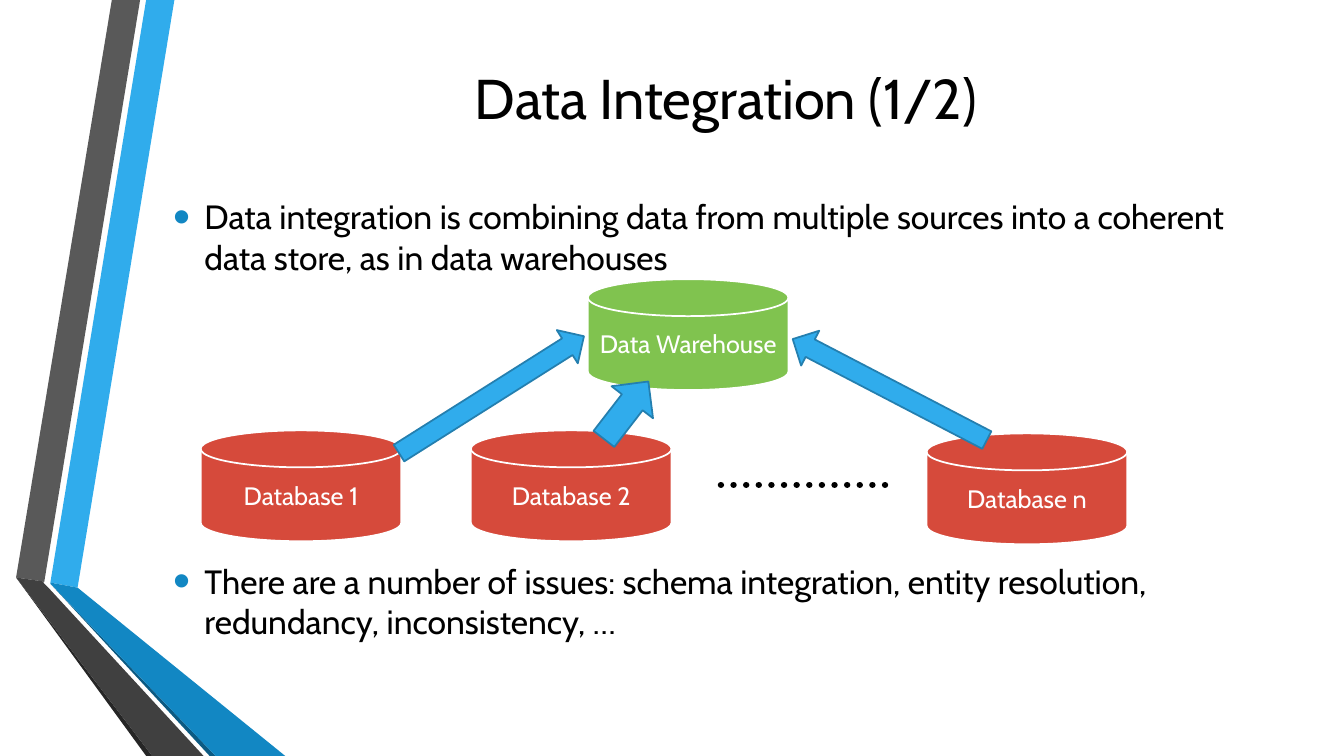
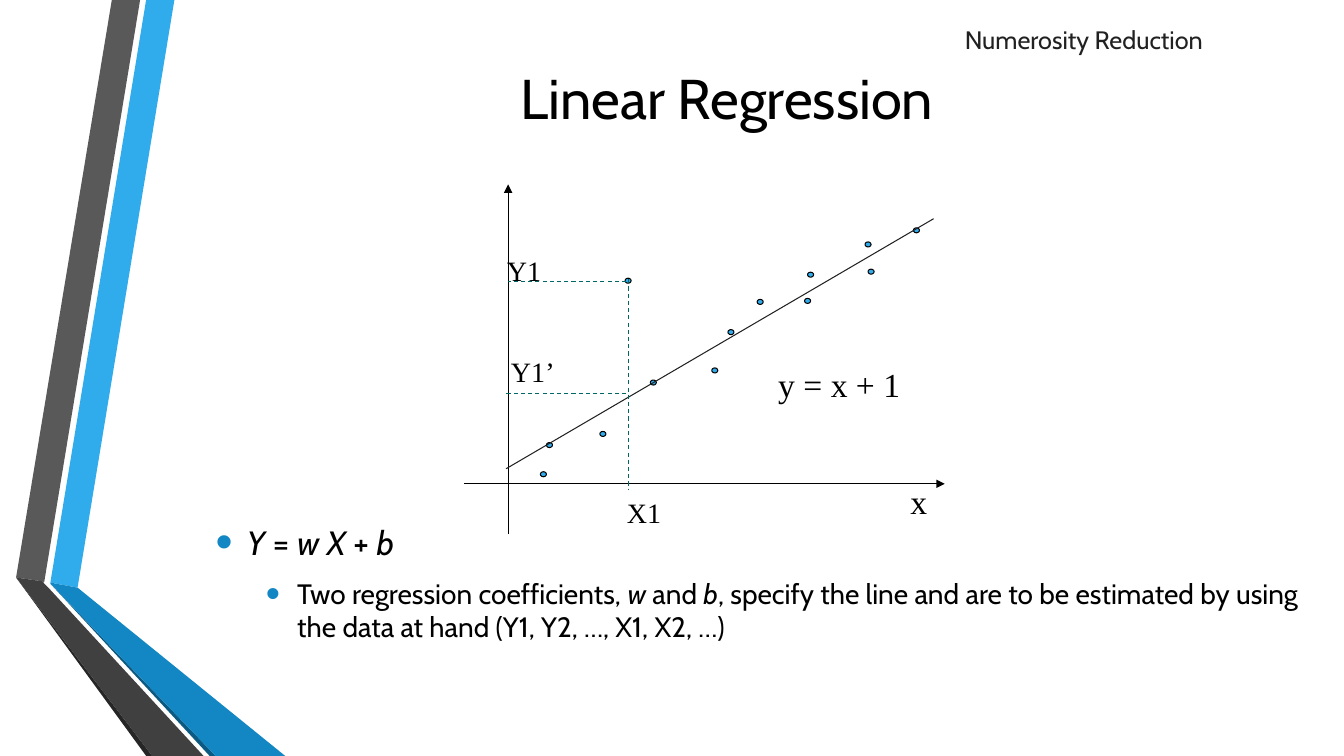
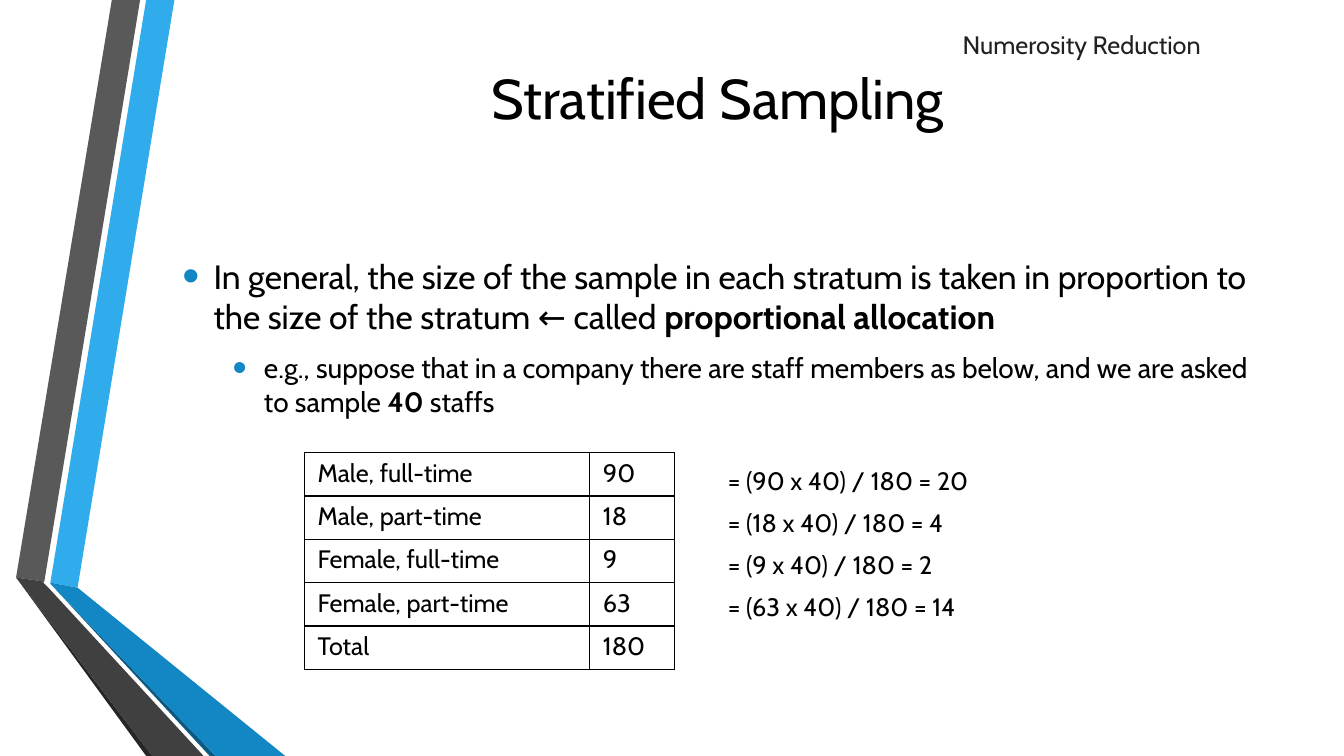
from dataclasses import dataclass

from pptx import Presentation
from pptx.dml.color import RGBColor
from pptx.enum.dml import MSO_LINE
from pptx.enum.shapes import MSO_CONNECTOR, MSO_SHAPE
from pptx.enum.text import MSO_ANCHOR, PP_ALIGN
from pptx.oxml.ns import qn
from pptx.util import Pt
from lxml.etree import SubElement

PX = 9144


@dataclass(frozen=True)
class Theme:
    """Colours, fonts and type sizes of the deck."""
    black: str = "000000"
    white: str = "FFFFFF"
    ink: str = "212121"
    sky: str = "30ACEC"
    sky_edge: str = "247FAF"
    blue: str = "1287C3"
    navy: str = "0C5A82"
    grey: str = "595959"
    charcoal: str = "404040"
    coal: str = "262626"
    red: str = "D64A3B"
    green: str = "80C34F"
    teal: str = "006666"
    font: str = "Cabin"
    serif: str = "Times New Roman"
    title: int = 40
    body: int = 24
    sub: int = 20
    label: int = 18


T = Theme()

RIBBONS = [
    (T.sky, [(50, 578), (77, 583), (173, 0), (145, 0)]),
    (T.grey, [(139, 0), (111, 0), (16, 573), (44, 577)]),
    (T.coal, [(16, 573), (145, 750), (151, 750)]),
    (T.navy, [(50, 579), (208, 750), (214, 750)]),
    (T.blue, [(50, 579), (214, 750), (283, 750), (77, 583), (50, 578)]),
    (T.charcoal, [(202, 750), (48, 583), (43, 578), (44, 577), (16, 573), (151, 750)]),
]

ITALIC = {"italic": True}
BOLD = {"bold": True}


def emu(*lengths):
    """Turn px lengths into EMU."""
    return [n * PX for n in lengths]


def rgb(color):
    """Turn a hex string into a colour."""
    return RGBColor.from_string(color)


def write(p, text, size=T.label, color=T.black, font=T.font, bold=False, italic=False):
    """Add one formatted run to a paragraph."""
    r = p.add_run()
    r.text = text
    f = r.font
    f.name, f.size, f.bold, f.italic = font, Pt(size), bold, italic
    f.color.rgb = rgb(color)


def paint(sp, fill, line=None, width=1.25):
    """Give a shape its fill and outline, without shadow."""
    sp.shadow.inherit = False
    sp.fill.solid()
    sp.fill.fore_color.rgb = rgb(fill)
    if line:
        sp.line.color.rgb = rgb(line)
        sp.line.width = Pt(width)
    else:
        sp.line.fill.background()


def add_text(s, box, lines, wrap=True, align=PP_ALIGN.LEFT, anchor=MSO_ANCHOR.TOP,
             leading=None, **fmt):
    """Add a text box with one paragraph per line."""
    tf = s.shapes.add_textbox(*emu(*box)).text_frame
    tf.word_wrap, tf.vertical_anchor = wrap, anchor
    for i, line in enumerate(lines):
        p = tf.paragraphs[0] if i == 0 else tf.add_paragraph()
        p.alignment = align
        if leading:
            p.line_spacing = Pt(leading)
        write(p, line, **fmt)


def add_bullets(s, box, items):
    """Add bulleted paragraphs given as a level and its styled runs."""
    tf = s.shapes.add_textbox(*emu(*box)).text_frame
    tf.word_wrap, tf.vertical_anchor = True, MSO_ANCHOR.MIDDLE
    for i, (level, runs) in enumerate(items):
        p = tf.paragraphs[0] if i == 0 else tf.add_paragraph()
        p.level, p.space_before, p.space_after = level, Pt(4), Pt(6)
        pPr = p._p.get_or_add_pPr()
        pPr.set("marL", str((31 + 50 * level) * PX))
        pPr.set("indent", str(-31 * PX))
        SubElement(SubElement(pPr, qn("a:buClr")), qn("a:srgbClr"), val=T.blue)
        SubElement(pPr, qn("a:buSzPct"), val="145000")
        SubElement(pPr, qn("a:buFont"), typeface="Arial")
        SubElement(pPr, qn("a:buChar"), char="•")
        for text, style in runs:
            write(p, text, size=T.sub if level else T.body, **style)


def add_line(s, start, end, color=T.black, width=0.75, dash=None, arrow=False, cap=None):
    """Draw a straight line, dashed or with an arrowhead if asked."""
    ln = s.shapes.add_connector(MSO_CONNECTOR.STRAIGHT, *emu(*start, *end))
    ln.line.color.rgb, ln.line.width = rgb(color), Pt(width)
    if dash:
        ln.line.dash_style = dash
    xml = ln.line._get_or_add_ln()
    if cap:
        xml.set("cap", cap)
    if arrow:
        SubElement(xml, qn("a:tailEnd"), type="triangle")
    SubElement(ln._element.spPr, qn("a:effectLst"))


def add_disk(s, x, y, name, fill):
    """Draw a labelled data store."""
    sp = s.shapes.add_shape(MSO_SHAPE.FLOWCHART_MAGNETIC_DISK, *emu(x, y, 199, 110))
    paint(sp, fill, T.white)
    tf = sp.text_frame
    tf.word_wrap, tf.vertical_anchor = True, MSO_ANCHOR.MIDDLE
    p = tf.paragraphs[0]
    p.alignment = PP_ALIGN.CENTER
    write(p, name, color=T.white)


def add_block_arrow(s, box, angle):
    """Draw a rotated block arrow."""
    sp = s.shapes.add_shape(MSO_SHAPE.RIGHT_ARROW, *emu(*box))
    sp.rotation = angle
    paint(sp, T.sky, T.sky_edge)


def add_point(s, x, y):
    """Draw one data point of the scatter."""
    sp = s.shapes.add_shape(MSO_SHAPE.OVAL, *emu(x, y, 6, 5))
    paint(sp, T.sky, T.black, 0.75)


def add_grid(s, x, y, widths, row_height, rows):
    """Add an unfilled table with thin black borders."""
    frame = s.shapes.add_table(len(rows), len(widths),
                               *emu(x, y, sum(widths), row_height * len(rows)))
    table = frame.table
    table.first_row = table.horz_banding = False
    for col, width in zip(table.columns, widths):
        col.width = width * PX
    for row, values in zip(table.rows, rows):
        row.height = row_height * PX
        for cell, value in zip(row.cells, values):
            cell.margin_left, cell.margin_right = emu(13, 13)
            cell.margin_top, cell.margin_bottom = emu(5, 5)
            tcPr = cell._tc.get_or_add_tcPr()
            for side in ("lnL", "lnR", "lnT", "lnB"):
                edge = SubElement(tcPr, qn("a:" + side), w=str(Pt(1)))
                SubElement(SubElement(edge, qn("a:solidFill")), qn("a:srgbClr"), val=T.black)
            cell.fill.background()
            write(cell.text_frame.paragraphs[0], value)


def add_slide(prs, title, x):
    """Start a slide with the side ribbons and a centred title."""
    s = prs.slides.add_slide(prs.slide_layouts[6])
    for color, points in RIBBONS:
        fb = s.shapes.build_freeform(*points[0], scale=PX)
        fb.add_line_segments(points[1:], close=True)
        paint(fb.convert_to_shape(), color)
    add_text(s, (x, 0, 1096, 192), [title], size=T.title,
             align=PP_ALIGN.CENTER, anchor=MSO_ANCHOR.MIDDLE)
    return s


def add_topic(s, x, y):
    """Name the topic in the top right corner."""
    add_text(s, (x, y, 371, 40), ["Numerosity Reduction"], color=T.ink)


def integration_slide(prs):
    """Show databases feeding a warehouse."""
    s = add_slide(prs, "Data Integration (1/2)", 172)
    for y, text in [
        (184, "Data integration is combining data from multiple sources into a coherent "
              "data store, as in data warehouses"),
        (546, "There are a number of issues: schema integration, entity resolution, "
              "redundancy, inconsistency, …"),
    ]:
        add_bullets(s, (162, y, 1096, 101), [(0, [(text, {})])])
    for x, y, name in [(199, 427, "Database 1"), (467, 427, "Database 2"),
                       (919, 430, "Database n")]:
        add_disk(s, x, y, name, T.red)
    add_line(s, (715, 481), (883, 481), width=4.5, dash=MSO_LINE.ROUND_DOT, cap="rnd")
    add_disk(s, 583, 277, "Data Warehouse", T.green)
    for box, angle in [((379, 372, 217, 39), 327.7), ((585, 381, 72, 52), 307.7),
                       ((774, 367, 217, 39), 207.5)]:
        add_block_arrow(s, box, angle)


def regression_slide(prs):
    """Show a line fitted to scattered points."""
    s = add_slide(prs, "Linear Regression", 173)
    add_bullets(s, (204, 407, 1096, 342), [
        (0, [("Y", ITALIC), (" = ", {}), ("w X", ITALIC), (" + ", {}), ("b", ITALIC)]),
        (1, [("Two regression coefficients, ", {}), ("w", ITALIC), (" and ", {}),
             ("b", ITALIC),
             (", specify the line and are to be estimated by using the data at hand "
              "(Y1, Y2, …, X1, X2, …)", {})]),
    ])
    add_line(s, (460, 480), (937, 480), arrow=True)
    add_line(s, (504, 530), (504, 183), arrow=True)
    for x, y in [(706, 365), (645, 377), (620, 276), (595, 428), (722, 327), (751, 297),
                 (542, 439), (798, 296), (801, 270), (861, 267), (536, 468), (858, 240),
                 (906, 226)]:
        add_point(s, x, y)
    add_line(s, (502, 465), (926, 217), color=T.ink)
    for start, end in [((623, 277), (623, 486)), ((621, 279), (504, 279)),
                       ((621, 390), (502, 390))]:
        add_line(s, start, end, color=T.teal, dash=MSO_LINE.DASH)
    for box, text, size in [
        ((893, 472, 37, 51), "x", T.body),
        ((762, 356, 142, 51), "y = x + 1", T.body),
        ((612, 487, 55, 44), "X1", T.sub),
        ((493, 247, 55, 44), "Y1", T.sub),
        ((497, 347, 64, 44), "Y1’", T.sub),
    ]:
        add_text(s, box, [text], wrap=False, size=size, font=T.serif)
    add_topic(s, 947, 19)


def sampling_slide(prs):
    """Show proportional allocation with a worked table."""
    s = add_slide(prs, "Stratified Sampling ", 170)
    add_bullets(s, (171, 163, 1096, 342), [
        (0, [("In general, the size of the sample in each stratum is taken in proportion "
              "to the size of the stratum ← called ", {}),
             ("proportional allocation", BOLD)]),
        (1, [("e.g., suppose that in a company there are staff members as below, and we "
              "are asked to sample ", {}), ("40", BOLD), (" staffs", {})]),
    ])
    add_grid(s, 302, 449, (283, 84), 43, [
        ("Male, full-time", "90"),
        ("Male, part-time", "18"),
        ("Female, full-time", "9"),
        ("Female, part-time", "63"),
        ("Total", "180"),
    ])
    add_text(s, (712, 445, 378, 178), [
        "= (90 x 40) / 180 = 20",
        "= (18 x 40) / 180 = 4",
        "= (9 x 40) / 180 = 2",
        "= (63 x 40) / 180 = 14",
    ], leading=30)
    add_topic(s, 945, 24)


def main():
    """Build and save the deck."""
    prs = Presentation()
    prs.slide_width, prs.slide_height = emu(1333, 750)
    integration_slide(prs)
    regression_slide(prs)
    sampling_slide(prs)
    prs.save("out.pptx")


if __name__ == "__main__":
    main()
